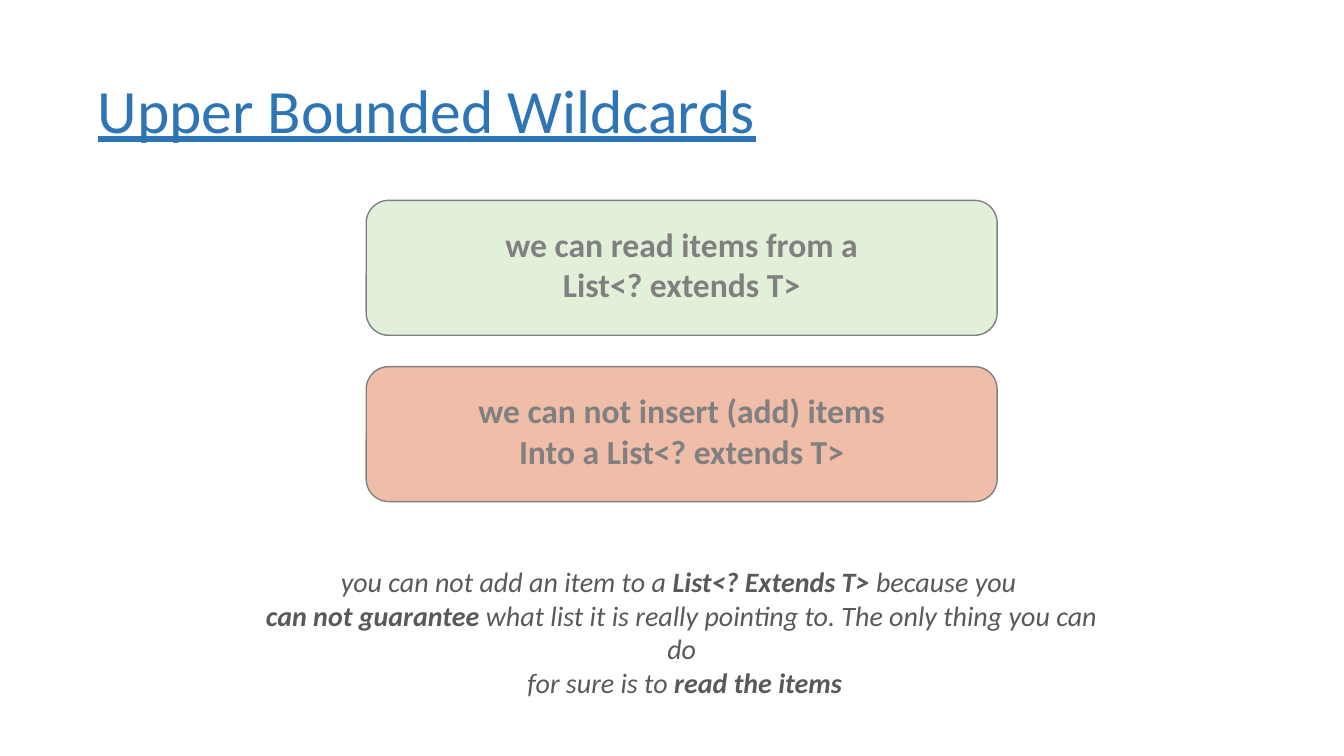
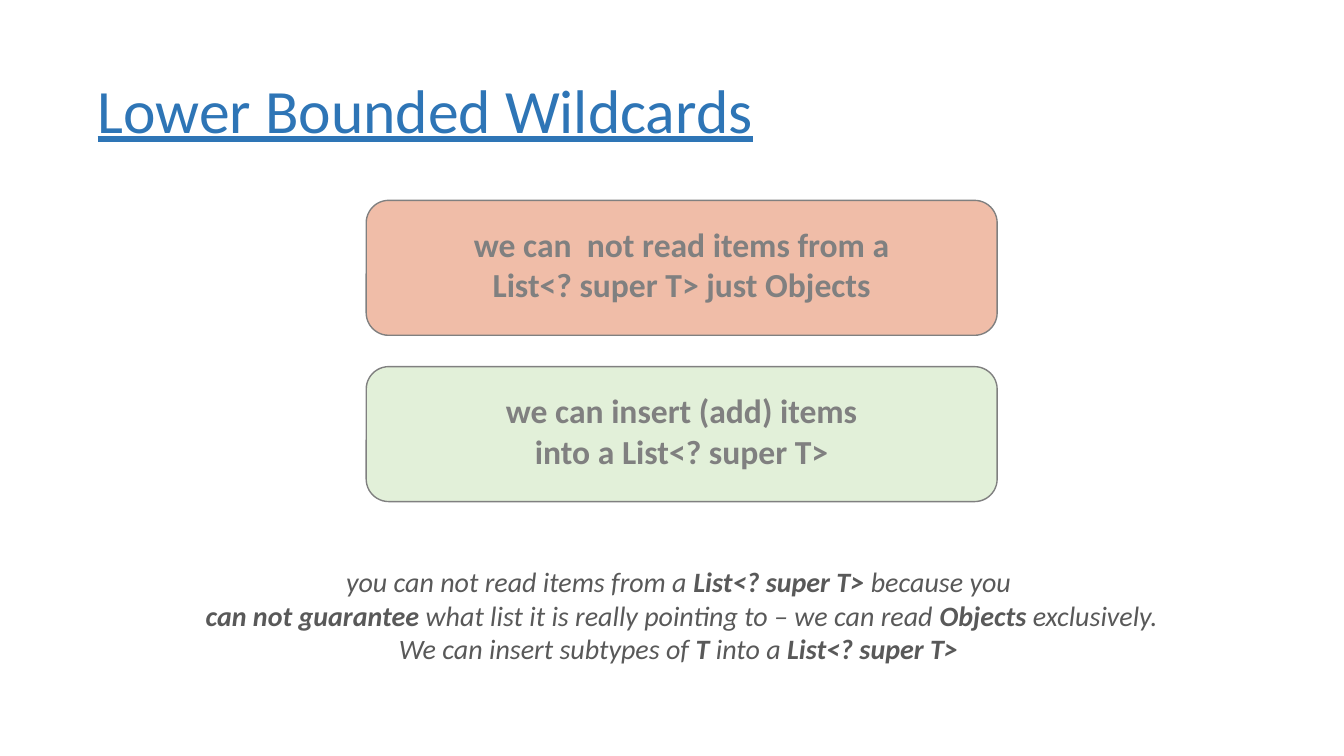
import dataclasses

import pptx
import pptx.dml.color
import pptx.enum.shapes
import pptx.enum.text
import pptx.presentation
import pptx.shapes.base
import pptx.slide
import pptx.text.text
import pptx.util

Cm = pptx.util.Cm
FONT = "Calibri"
COLORS = {
    "title": "2E75B6",
    "allowed": "E2F0D9",
    "denied": "F0BDA8",
    "grey": "808080",
    "note": "595959",
}
CENTER_X = 17.18
CARD_TOP, CARD_STEP = 5.05, 4.19
CARD_WIDTH, CARD_HEIGHT = 15.9, 3.4
NOTE_TOP, NOTE_HEIGHT = 14.1, 2.64


@dataclasses.dataclass(frozen=True)
class Card:
    """A rule stated on a coloured card."""

    color: str
    lines: tuple[str, ...]


@dataclasses.dataclass(frozen=True)
class WildcardSlide:
    """A title, two cards and a note whose bold words stand between asterisks."""

    title: str
    cards: tuple[Card, ...]
    note: tuple[str, ...]
    note_width: float


SLIDES = (
    WildcardSlide(
        "Upper Bounded Wildcards",
        (
            Card("allowed", ("we can read items from a", "List<? extends T>")),
            Card("denied", ("we can not insert (add) items", "Into a List<? extends T>")),
        ),
        (
            "you can not add an item to a *List<? Extends T> *because you ",
            "*can not guarantee *what list it is really pointing to. The only thing you can do",
            " for sure is to *read the items*",
        ),
        21.9,
    ),
    WildcardSlide(
        "Lower Bounded Wildcards",
        (
            Card("denied", ("we can  not read items from a", "List<? super T> just Objects")),
            Card("allowed", ("we can insert (add) items", "into a List<? super T>")),
        ),
        (
            "you can not read items from a *List<? super T> *because you ",
            "*can not guarantee *what list it is really pointing to \u2013 we can read *Objects* exclusively. ",
            "We can insert subtypes of *T *into a *List<? super T> *",
        ),
        24.4,
    ),
)


def rgb(name: str) -> pptx.dml.color.RGBColor:
    """Return the named colour."""
    return pptx.dml.color.RGBColor.from_string(COLORS[name])


def place(sp: pptx.shapes.base.BaseShape, left: float, top: float, width: float, height: float) -> None:
    """Position a shape by lengths in centimetres."""
    sp.left, sp.top, sp.width, sp.height = Cm(left), Cm(top), Cm(width), Cm(height)


def set_frame(tf: pptx.text.text.TextFrame, anchor: pptx.enum.text.MSO_ANCHOR, bottom: float = 0.13) -> None:
    """Set wrapping, anchor and insets of a text frame."""
    tf.word_wrap = True
    tf.auto_size = pptx.enum.text.MSO_AUTO_SIZE.NONE
    tf.vertical_anchor = anchor
    tf.margin_left = tf.margin_right = tf.margin_top = Cm(0.13)
    tf.margin_bottom = Cm(bottom)


def style(p: pptx.text.text._Paragraph, size: float, color: str, align: pptx.enum.text.PP_ALIGN) -> None:
    """Set the font and alignment of a paragraph."""
    p.alignment = align
    p.font.name = FONT
    p.font.size = pptx.util.Pt(size)
    p.font.color.rgb = rgb(color)


def add_lines(tf: pptx.text.text.TextFrame, lines: tuple[str, ...], size: float, color: str) -> None:
    """Write centred paragraphs, with the words between asterisks in bold."""
    for i, line in enumerate(lines):
        p = tf.add_paragraph() if i else tf.paragraphs[0]
        style(p, size, color, pptx.enum.text.PP_ALIGN.CENTER)
        for j, text in enumerate(line.split("*")):
            if text:
                r = p.add_run()
                r.text = text
                if j % 2:
                    r.font.bold = True


def draw_title(s: pptx.slide.Slide, text: str) -> None:
    """Fill the title placeholder."""
    sp = s.shapes.title
    place(sp, 2.33, 1.01, 29.21, 3.68)
    set_frame(sp.text_frame, pptx.enum.text.MSO_ANCHOR.MIDDLE)
    sp.text_frame.text = text
    p = sp.text_frame.paragraphs[0]
    style(p, 44, "title", pptx.enum.text.PP_ALIGN.LEFT)
    p.line_spacing = 0.9
    p.font.underline = True


def draw_card(s: pptx.slide.Slide, card: Card, row: int) -> None:
    """Draw a rounded card with its bold text."""
    sp = s.shapes.add_shape(pptx.enum.shapes.MSO_SHAPE.ROUNDED_RECTANGLE, 0, 0, 0, 0)
    place(sp, CENTER_X - CARD_WIDTH / 2, CARD_TOP + row * CARD_STEP, CARD_WIDTH, CARD_HEIGHT)
    sp.shadow.inherit = False
    sp.fill.solid()
    sp.fill.fore_color.rgb = rgb(card.color)
    sp.line.color.rgb = rgb("grey")
    sp.line.width = pptx.util.Pt(1)
    set_frame(sp.text_frame, pptx.enum.text.MSO_ANCHOR.MIDDLE, bottom=0.31)
    add_lines(sp.text_frame, card.lines, 24, "grey")
    for p in sp.text_frame.paragraphs:
        p.font.bold = True


def draw_note(s: pptx.slide.Slide, lines: tuple[str, ...], width: float) -> None:
    """Write the italic note under the cards."""
    sp = s.shapes.add_textbox(0, 0, 0, 0)
    place(sp, CENTER_X - width / 2, NOTE_TOP, width, NOTE_HEIGHT)
    set_frame(sp.text_frame, pptx.enum.text.MSO_ANCHOR.TOP)
    add_lines(sp.text_frame, lines, 20, "note")
    for p in sp.text_frame.paragraphs:
        p.font.italic = True


def draw_slide(prs: pptx.presentation.Presentation, content: WildcardSlide) -> None:
    """Add one slide with its title, cards and note."""
    s = prs.slides.add_slide(prs.slide_layouts.get_by_name("Title Only"))
    draw_title(s, content.title)
    for row, card in enumerate(content.cards):
        draw_card(s, card, row)
    draw_note(s, content.note, content.note_width)


prs = pptx.Presentation()
prs.slide_width, prs.slide_height = Cm(33.87), Cm(19.05)
for content in SLIDES:
    draw_slide(prs, content)
prs.save("out.pptx")
